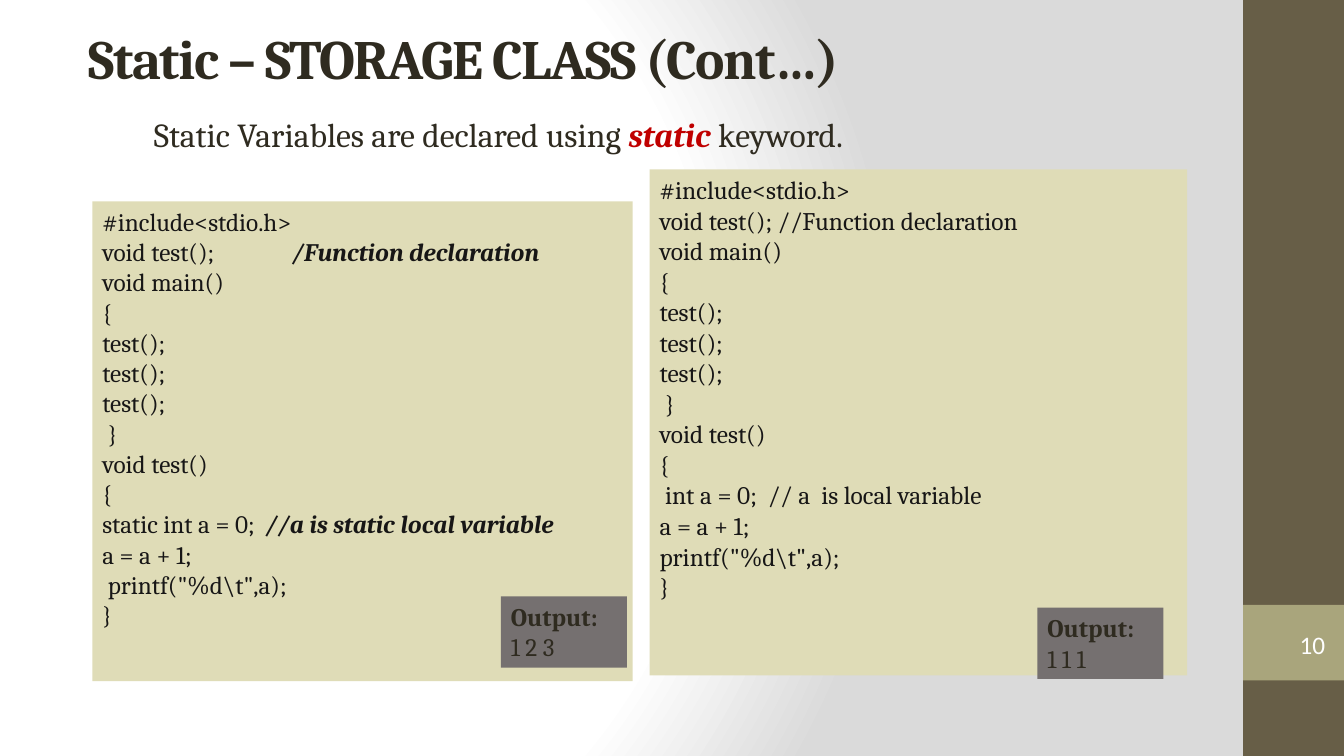
from lxml import etree
from pptx import Presentation
from pptx import util as u
from pptx.dml.color import RGBColor
from pptx.enum import shapes, text
from pptx.oxml import ns

COLORS = {
    "white": "FFFFFF", "shade": "DADADA", "band": "675E47", "badge": "A9A57C",
    "panel": "DFDCB7", "output": "757070", "ink": "2F2B20", "code": "171616",
    "keyword": "C00000",
}
SLIDE_W, SLIDE_H = 960, 540
BAND_W = 72
COMMENT_TAB = 135.6

STATIC_CODE = [
    [("#include<stdio.h>", {})],
    [("void test();\t", {}), ("/Function declaration", {"bold": True, "italic": True})],
    [("void main()", {})],
    [("{", {})],
    *[[("test();", {})]] * 3,
    [(" }", {})],
    [("void test()", {})],
    [("{", {})],
    [("static int a = 0; ", {}),
     (" //a is static local variable", {"bold": True, "italic": True})],
    [("a = a + 1;", {})],
    [(' printf("%d\\t",a);', {})],
    [("}", {})],
]
LOCAL_CODE = [[(line, {})] for line in (
    "#include<stdio.h>", "void test(); //Function declaration", "void main()", "{",
    *["test();"] * 3, " }", "void test()", "{",
    " int a = 0;  // a  is local variable", "a = a + 1;", 'printf("%d\\t",a);', "}",
)]


def rgb(name):
    return RGBColor.from_string(COLORS[name])


def points(box):
    return [u.Pt(length) for length in box]


def write(frame, lines, size, color, face="Cambria", **paragraph_format):
    """Fill a text frame with lines, each a list of (words, font values)."""
    for name, value in {
        "word_wrap": True, "auto_size": text.MSO_AUTO_SIZE.NONE,
        "margin_left": u.Pt(7.2), "margin_right": u.Pt(7.2),
        "margin_top": u.Pt(3.6), "margin_bottom": u.Pt(3.6),
    }.items():
        setattr(frame, name, value)
    for index, line in enumerate(lines):
        paragraph = frame.add_paragraph() if index else frame.paragraphs[0]
        for name, value in paragraph_format.items():
            setattr(paragraph, name, value)
        for words, emphasis in line:
            run = paragraph.add_run()
            run.text = words
            style = {"name": face, "size": u.Pt(size), "bold": False, **emphasis}
            ink = style.pop("color", color)
            for name, value in style.items():
                setattr(run.font, name, value)
            run.font.color.rgb = rgb(ink)


def add_block(slide, box, fill):
    block = slide.shapes.add_shape(shapes.MSO_SHAPE.RECTANGLE, *points(box))
    block.shadow.inherit = False
    block.fill.solid()
    block.fill.fore_color.rgb = rgb(fill)
    block.line.fill.background()
    block.text_frame.vertical_anchor = text.MSO_ANCHOR.TOP
    return block


def paint_background(slide):
    """Circular gradient, white in the centre and grey outside."""
    slide.background.fill.gradient()
    gradient = slide.element.find(".//" + ns.qn("a:gradFill"))
    for child in list(gradient):
        gradient.remove(child)
    stops = etree.SubElement(gradient, ns.qn("a:gsLst"))
    for position, color in ((0, "white"), (75, "white"), (100, "shade")):
        stop = etree.SubElement(stops, ns.qn("a:gs"), pos=str(position * 1000))
        etree.SubElement(stop, ns.qn("a:srgbClr"), val=COLORS[color])
    circle = etree.SubElement(gradient, ns.qn("a:path"), attrib={"path": "circle"})
    etree.SubElement(circle, ns.qn("a:fillToRect"),
                     l="20000", t="50000", r="100000", b="50000")


def add_side_band(slide, box, number):
    left, top, width, height = box
    add_block(slide, box, "band")
    badge_top = top + height * 0.8
    add_block(slide, (left, badge_top, width, height * 0.1), "badge")
    page = slide.shapes.add_textbox(*points((left + 8, badge_top + 13, width - 14.4, 31)))
    page.text_frame.vertical_anchor = text.MSO_ANCHOR.MIDDLE
    write(page.text_frame, [[(number, {})]], 18, "white", "Calibri",
          alignment=text.PP_ALIGN.RIGHT)


def add_heading(slide, box):
    left, top, width, height = box
    title = slide.shapes.title
    title.left, title.top, title.width, title.height = points((left, top, width, 44.6))
    title.text_frame.vertical_anchor = text.MSO_ANCHOR.MIDDLE
    write(title.text_frame, [[("Static – STORAGE CLASS (Cont…)", {"bold": True})]],
          39.6, "ink", alignment=text.PP_ALIGN.LEFT, line_spacing=0.9)
    title.text_frame.paragraphs[0].runs[0].font._element.set("spc", "-100")

    intro = slide.shapes.add_textbox(
        *points((left + 46.8, top + 56.2, width - 144, height - 56.2)))
    write(intro.text_frame, [[
        ("Static Variables are declared using ", {}),
        ("static ", {"bold": True, "italic": True, "color": "keyword"}),
        ("keyword.", {}),
    ]], 24, "ink")


def add_program(slide, box, code, size, pitch, output, output_at):
    """Code panel with its output block, offset from the panel's corner."""
    left, top = box[:2]
    panel = add_block(slide, box, "panel").text_frame
    for _ in code[1:]:
        panel.add_paragraph()
    for paragraph in panel.paragraphs:
        tabs = etree.SubElement(paragraph._p.get_or_add_pPr(), ns.qn("a:tabLst"))
        etree.SubElement(tabs, ns.qn("a:tab"), pos=str(u.Pt(COMMENT_TAB)), algn="l")
    for paragraph in list(panel.paragraphs)[1:]:
        paragraph._p.getparent().remove(paragraph._p)
    write(panel, code, size, "code", alignment=text.PP_ALIGN.LEFT,
          line_spacing=u.Pt(pitch))

    across, down = output_at
    result = add_block(slide, (left + across, top + down, 90, 51), "output")
    write(result.text_frame, [[("Output:", {"bold": True})], [(output, {})]],
          18, "ink", alignment=text.PP_ALIGN.LEFT)


def main():
    deck = Presentation()
    deck.slide_width, deck.slide_height = points((SLIDE_W, SLIDE_H))
    slide = deck.slides.add_slide(deck.slide_layouts[5])
    paint_background(slide)
    add_side_band(slide, (SLIDE_W - BAND_W, 0, BAND_W, SLIDE_H), "10")
    add_heading(slide, (56, 21.6, 803.5, 121.7))
    add_program(slide, (66, 143.8, 386, 342.7), STATIC_CODE, 18, 21.6,
                "1 2 3", (291.8, 282.2))
    add_program(slide, (464, 121, 384, 361.4), LOCAL_CODE, 18.1, 21.8,
                "1 1 1", (277, 313))
    deck.save("out.pptx")


if __name__ == "__main__":
    main()
